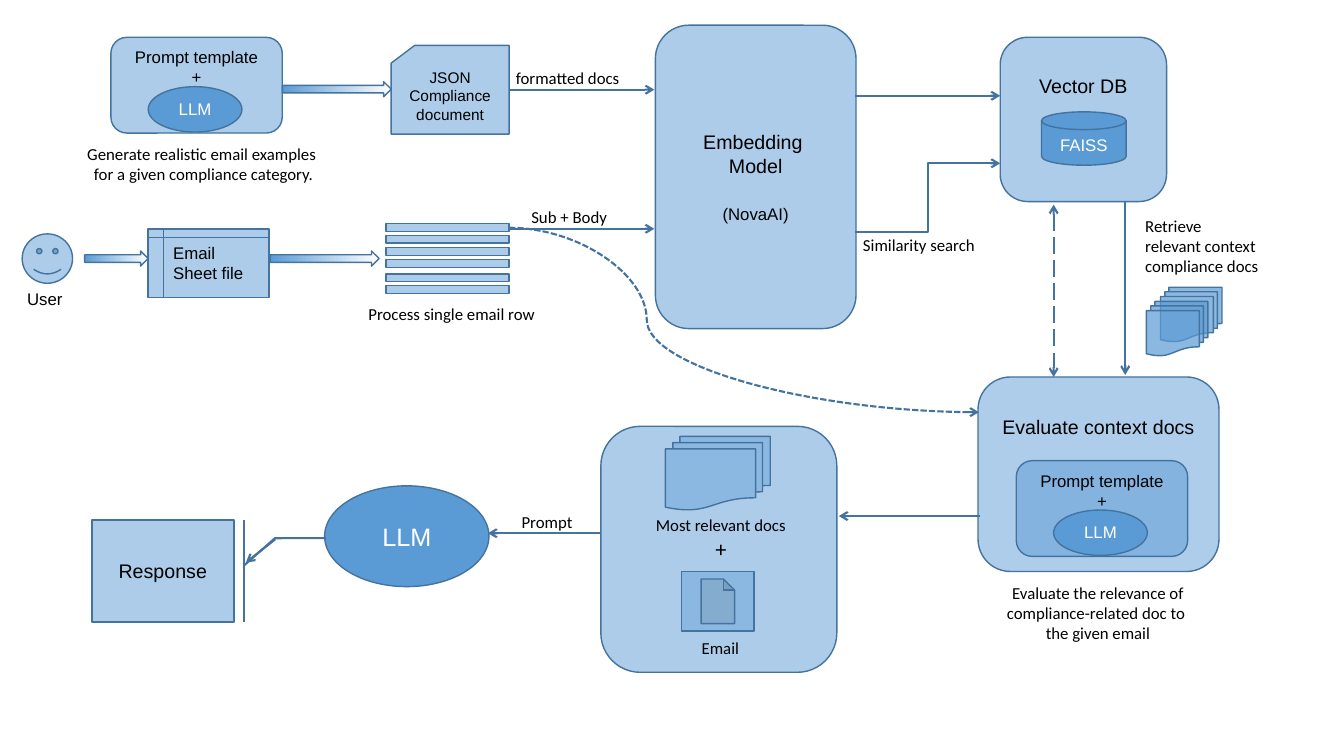
from lxml import etree
from pptx import Presentation
from pptx.dml.color import RGBColor
from pptx.enum.dml import MSO_LINE
from pptx.enum.shapes import MSO_CONNECTOR, MSO_SHAPE
from pptx.enum.text import MSO_ANCHOR, MSO_AUTO_SIZE, PP_ALIGN
from pptx.oxml.ns import qn
from pptx.util import Inches, Pt

ROUND = MSO_SHAPE.FLOWCHART_ALTERNATE_PROCESS
CARD = MSO_SHAPE.FLOWCHART_CARD
STORE = MSO_SHAPE.FLOWCHART_INTERNAL_STORAGE
DISK = MSO_SHAPE.FLOWCHART_MAGNETIC_DISK
DOCS = MSO_SHAPE.FLOWCHART_MULTIDOCUMENT
PAGE = MSO_SHAPE.ACTION_BUTTON_DOCUMENT
FACE = MSO_SHAPE.SMILEY_FACE
ROWS = MSO_SHAPE.MATH_EQUAL
ARROW = MSO_SHAPE.RIGHT_ARROW
OVAL = MSO_SHAPE.OVAL
CALLOUT = MSO_SHAPE.LINE_CALLOUT_2_BORDER_AND_ACCENT_BAR
LINE, ELBOW, CURVE = MSO_CONNECTOR.STRAIGHT, MSO_CONNECTOR.ELBOW, MSO_CONNECTOR.CURVE
LONG, DOTS = MSO_LINE.LONG_DASH, MSO_LINE.SQUARE_DOT
LEFT, MID = PP_ALIGN.LEFT, PP_ALIGN.CENTER
TOP, CORE = MSO_ANCHOR.TOP, MSO_ANCHOR.MIDDLE
FIT = MSO_AUTO_SIZE.SHAPE_TO_FIT_TEXT

COLORS = {"fill": "5B9BD5", "edge": "43739E", "ink": "000000", "white": "FFFFFF"}


def color(name):
    return RGBColor.from_string(COLORS[name])


def write(shape, text, size=12, font="Arial", ink="ink", align=MID,
          anchor=TOP, inset=0.05, last=None, gap=0):
    """Fill a shape with one paragraph per line; last and gap style the final one."""
    frame = shape.text_frame
    frame.text = text
    frame.vertical_anchor = anchor
    frame.margin_top = Inches(inset)
    paras = frame.paragraphs
    for para in paras:
        para.alignment = align
        para.font.size = Pt(size)
        for run in para.runs:
            run.font.size = Pt(size)
            run.font.name = font
            run.font.color.rgb = color(ink)
    if last:
        paras[-1].space_before = Pt(gap)
        paras[-1].runs[0].font.size = Pt(last)


class Sketch:
    """Style and drawing target of the slide."""

    def __init__(self, shapes):
        self.shapes = shapes

    def group(self):
        return Sketch(self.shapes.add_group_shape().shapes)

    def shape(self, kind, left, top, width, height, text=None, alpha=50,
              weight=1, adj=(), **style):
        item = self.shapes.add_shape(kind, Inches(left), Inches(top),
                                     Inches(width), Inches(height))
        item.shadow.inherit = False
        item.fill.solid()
        item.fill.fore_color.rgb = color("fill")
        if alpha < 100:
            tone = item.element.spPr.find(qn("a:solidFill"))[0]
            etree.SubElement(tone, qn("a:alpha"), val=str(alpha * 1000))
        item.line.color.rgb = color("edge")
        item.line.width = Pt(weight)
        for i, value in enumerate(adj):
            item.adjustments[i] = value
        if text:
            write(item, text, **style)
        return item

    def block(self, left, top, width):
        """Block arrow that fades from blue to white."""
        item = self.shape(ARROW, left, top, width, 0.15, alpha=100)
        item.fill.gradient()
        item.fill.gradient_angle = 0
        for stop, name in zip(item.fill.gradient_stops, ("fill", "white")):
            stop.color.rgb = color(name)

    def label(self, left, top, width, height, text, wrap=False,
              font="Calibri", **style):
        box = self.shapes.add_textbox(Inches(left), Inches(top),
                                      Inches(width), Inches(height))
        write(box, text, font=font, **style)
        box.text_frame.word_wrap = wrap
        box.text_frame.auto_size = FIT

    def link(self, x1, y1, x2, y2, kind=LINE, dash=None, both=False, bend=None):
        item = self.shapes.add_connector(kind, Inches(x1), Inches(y1),
                                         Inches(x2), Inches(y2))
        item.line.color.rgb = color("edge")
        item.line.width = Pt(1.5)
        if dash:
            item.line.dash_style = dash
        props = item.element.spPr
        for end in ("a:headEnd", "a:tailEnd") if both else ("a:tailEnd",):
            etree.SubElement(props.find(qn("a:ln")), qn(end), type="arrow")
        etree.SubElement(props, qn("a:effectLst"))
        if bend:
            guides = props.find(qn("a:prstGeom")).find(qn("a:avLst"))
            etree.SubElement(guides, qn("a:gd"), name="adj1",
                             fmla=f"val {int(bend * 100000)}")
        return item

    def prompt(self, left, top):
        """Prompt template box with its model inside."""
        part = self.group()
        part.shape(ROUND, left, top, 1.7, 0.95, "Prompt template\n+")
        part.shape(OVAL, left + 0.37, top + 0.49, 0.93, 0.45, "LLM",
                   alpha=100, ink="white")


def main():
    deck = Presentation()
    deck.slide_width, deck.slide_height = Inches(13.33), Inches(7.5)
    art = Sketch(deck.slides.add_slide(deck.slide_layouts[6]).shapes)

    # Example maker
    card = art.shape(CARD, 3.88, 0.45, 1.17, 0.88,
                     "JSON\nCompliance\ndocument", size=11)
    art.prompt(1.1, 0.37)
    art.label(0.55, 1.38, 2.94, 0.5, "Generate realistic email examples \n"
              "for a given compliance category.", wrap=True)

    # User mail
    art.shape(FACE, 0.22, 2.32, 0.5, 0.49, adj=[0.047])
    art.label(0.17, 2.82, 0.73, 0.3, "User", wrap=True, font="Arial", align=LEFT)
    art.shape(STORE, 1.47, 2.27, 1.2, 0.68, "Email\nSheet file", align=LEFT)
    rows = art.group()
    for top in (2.15, 2.39, 2.65):
        rows.shape(ROWS, 3.61, top, 1.66, 0.33, adj=[0.235, 0.118])
    art.label(3.55, 2.96, 1.86, 0.3, "Process single email row")
    for left, top, width in ((2.8, 0.81, 1.08), (2.68, 2.49, 1.08), (0.84, 2.49, 0.63)):
        art.block(left, top, width)

    # Embedding and vector store
    art.shape(ROUND, 6.5, 0.25, 1.99, 3.01, "Embedding \nModel\n(NovaAI)",
              size=14, anchor=CORE, last=12, gap=19)
    art.shape(ROUND, 9.92, 0.37, 1.65, 1.63, "Vector DB", size=14, inset=0.28)
    art.shape(DISK, 10.33, 1.11, 0.84, 0.53, "FAISS", alpha=100, ink="white")

    # Retrieved documents
    art.label(11.26, 2.09, 1.51, 0.7, "Retrieve\nrelevant context compliance docs",
              wrap=True, align=LEFT)
    pile = art.group()
    for left, top in ((11.51, 2.85), (11.37, 2.99)):
        pile.shape(DOCS, left, top, 0.61, 0.54, alpha=70)

    # Evaluation
    art.shape(ROUND, 9.7, 3.74, 2.39, 1.93, "Evaluate context docs",
              alpha=49, size=14, inset=0.28)
    art.prompt(10.08, 4.57)
    art.label(9.76, 5.73, 2.26, 0.7, "Evaluate the relevance of "
              "compliance-related doc to \nthe given email", wrap=True)

    # Final prompt
    art.shape(ROUND, 5.96, 4.23, 2.34, 2.44)
    art.shape(DOCS, 6.6, 4.33, 1.04, 0.73, alpha=40)
    art.shape(PAGE, 6.76, 5.67, 0.72, 0.59, alpha=40)
    art.label(6.4, 5.06, 1.5, 0.57, "Most relevant docs\n+", last=16)
    art.label(6.86, 6.28, 0.57, 0.3, "Email")

    # Answer
    art.shape(OVAL, 3.22, 4.82, 1.63, 1, "LLM", alpha=100, size=18,
              ink="white", anchor=CORE)
    reply = art.shape(CALLOUT, 0.91, 5.16, 1.41, 1.01, "Response", weight=1.5,
                      adj=[0.448, -0.07, 0.178, -0.289, 0.177, -0.647],
                      size=14, anchor=CORE)
    reply.element.spPr.find(qn("a:xfrm")).set("flipH", "1")

    # Links
    art.link(5.05, 0.89, 6.49, 0.89).begin_connect(card, 3)
    for ends in ((5.05, 2.27, 6.49, 2.27), (8.48, 0.95, 9.92, 0.95),
                 (11.16, 2, 11.16, 3.72), (9.72, 5.12, 8.32, 5.12),
                 (5.96, 5.29, 4.84, 5.29), (2.73, 5.35, 2.44, 5.58)):
        art.link(*ends)
    art.link(8.48, 2.3, 9.92, 1.62, kind=ELBOW)
    art.link(10.45, 2.03, 10.45, 3.74, dash=LONG, both=True)
    art.link(5.05, 2.26, 9.71, 4.09, kind=CURVE, dash=DOTS, bend=0.293)

    # Link labels
    for left, top, width, text in ((5.01, 0.62, 1.24, "formatted docs"),
                                   (5.17, 2, 0.95, "Sub + Body"),
                                   (8.46, 2.28, 1.31, "Similarity search"),
                                   (5.07, 5.03, 0.71, "Prompt")):
        art.label(left, top, width, 0.3, text)

    deck.save("out.pptx")


if __name__ == "__main__":
    main()
